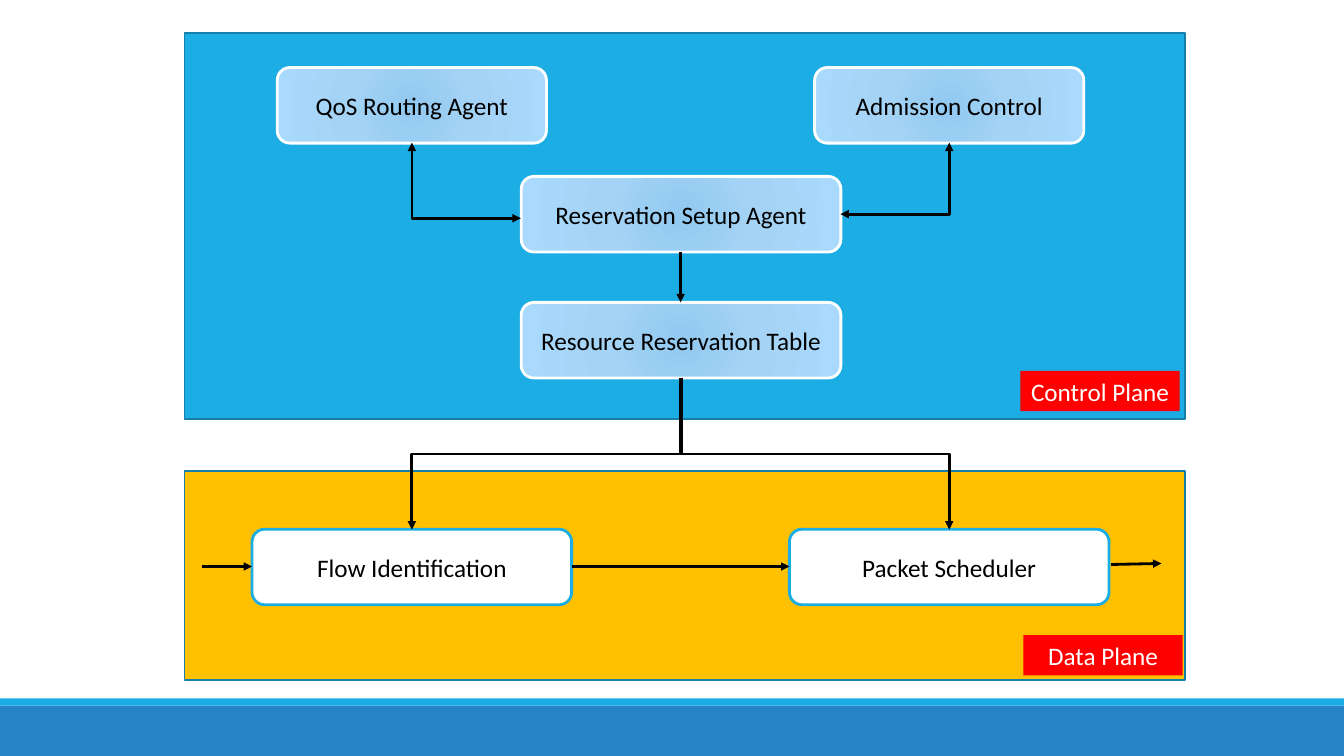
import pptx
import pptx.util
import pptx.dml.color
import pptx.enum.shapes
import pptx.enum.text
import pptx.oxml
import pptx.oxml.ns
import lxml.etree

Inches = pptx.util.Inches
Pt = pptx.util.Pt
color = pptx.dml.color.RGBColor.from_string
qn = pptx.oxml.ns.qn
Kind = pptx.enum.shapes.MSO_SHAPE
Link = pptx.enum.shapes.MSO_CONNECTOR
Text = pptx.enum.text

glow = f"""<a:gradFill {pptx.oxml.ns.nsdecls("a")} rotWithShape="1">
<a:gsLst>
<a:gs pos="0"><a:srgbClr val="92C9F0"/></a:gs>
<a:gs pos="45000"><a:srgbClr val="A4D3F5"/></a:gs>
<a:gs pos="100000"><a:srgbClr val="A9D9FD"/></a:gs>
</a:gsLst>
<a:path path="circle"><a:fillToRect l="100000" t="100000" r="100000" b="100000"/></a:path>
</a:gradFill>"""


def box(kind, spot, fill, edge=None, width=2, text="", ink="000000"):
    shape = slide.shapes.add_shape(kind, *map(Inches, spot))
    shape.shadow.inherit = False
    if fill == "glow":
        shape.element.spPr.prstGeom.addnext(pptx.oxml.parse_xml(glow))
    else:
        shape.fill.solid()
        shape.fill.fore_color.rgb = color(fill)
    if edge:
        shape.line.color.rgb = color(edge)
        shape.line.width = Pt(width)
    else:
        shape.line.fill.background()
    if text:
        frame = shape.text_frame
        frame.word_wrap = True
        frame.vertical_anchor = Text.MSO_ANCHOR.MIDDLE
        frame.text = text
        para = frame.paragraphs[0]
        para.alignment = Text.PP_ALIGN.CENTER
        para.font.size = Pt(18)
        para.font.name = "Calibri"
        para.font.color.rgb = color(ink)
    return shape


def wire(kind, ends, both=False):
    line = slide.shapes.add_connector(kind, *map(Inches, ends))
    line.line.color.rgb = color("000000")
    line.line.width = Pt(2)
    props = line.element.spPr
    stroke = props.find(qn("a:ln"))
    for tag in ["a:headEnd", "a:tailEnd"] if both else ["a:tailEnd"]:
        lxml.etree.SubElement(stroke, qn(tag)).set("type", "triangle")
    lxml.etree.SubElement(props, qn("a:effectLst"))
    return line


deck = pptx.Presentation()
deck.slide_width = Inches(13.33)
deck.slide_height = Inches(7.5)
slide = deck.slides.add_slide(deck.slide_layouts[6])

box(Kind.RECTANGLE, (0, 7, 13.33, 0.5), "2683C6")
box(Kind.RECTANGLE, (0, 6.93, 13.33, 0.07), "1CADE4")
box(Kind.RECTANGLE, (1.83, 0.33, 9.92, 3.83), "1CADE4", "1580A9", 1.25)
box(Kind.RECTANGLE, (1.83, 4.67, 9.92, 2.08), "FFC000", "1580A9", 1.25)

for text, left, top, width, fill, edge in [
    ("QoS Routing Agent", 2.75, 0.67, 2.67, "glow", "FFFFFF"),
    ("Admission Control", 8.08, 0.67, 2.67, "glow", "FFFFFF"),
    ("Reservation Setup Agent", 5.17, 1.75, 3.17, "glow", "FFFFFF"),
    ("Resource Reservation Table", 5.17, 3, 3.17, "glow", "FFFFFF"),
    ("Flow Identification", 2.5, 5.25, 3.17, "FFFFFF", "1CADE4"),
    ("Packet Scheduler", 7.83, 5.25, 3.17, "FFFFFF", "1CADE4"),
]:
    box(Kind.ROUNDED_RECTANGLE, (left, top, width, 0.75), fill, edge, text=text)

for text, left, top in [("Control Plane", 10.12, 3.68), ("Data Plane", 10.15, 6.3)]:
    label = box(Kind.RECTANGLE, (left, top, 1.58, 0.4), "FF0000", text=text, ink="FFFFFF")
    label.text_frame.vertical_anchor = Text.MSO_ANCHOR.TOP
    label.text_frame.auto_size = Text.MSO_AUTO_SIZE.SHAPE_TO_FIT_TEXT

for ends in [
    (6.75, 2.5, 6.75, 3),
    (5.67, 5.62, 7.83, 5.62),
    (2, 5.62, 2.5, 5.62),
    (11.02, 5.6, 11.52, 5.59),
]:
    wire(Link.STRAIGHT, ends)

for left, top, width, height, turn, bend in [
    (4.25, 1.25, 0.75, 1.08, 270, "bentConnector2"),
    (8.52, 1.23, 0.71, 1.08, 90, "bentConnector2"),
    (4.67, 3.17, 1.5, 2.67, 90, "bentConnector3"),
    (7.33, 3.17, 1.5, 2.67, 270, "bentConnector3"),
]:
    ends = (left, top, left + width, top + height)
    elbow = wire(Link.ELBOW, ends, bend == "bentConnector2")
    props = elbow.element.spPr
    props.find(qn("a:prstGeom")).set("prst", bend)
    frame = props.find(qn("a:xfrm"))
    frame.set("rot", str(turn * 60000))
    if turn == 270:
        frame.set("flipH", "1")

deck.save("out.pptx")
